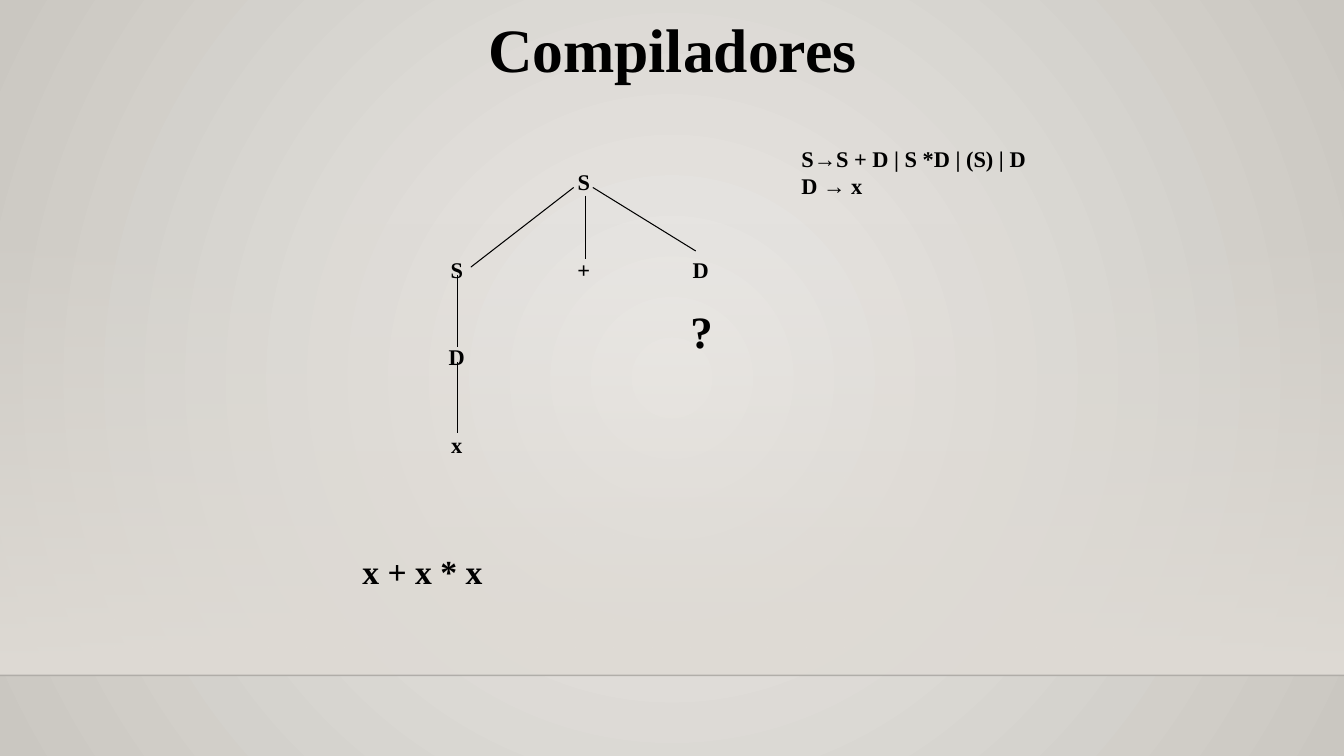
from dataclasses import dataclass

from lxml.etree import SubElement
from pptx import Presentation
from pptx.dml.color import RGBColor
from pptx.enum.shapes import MSO_CONNECTOR, MSO_SHAPE
from pptx.enum.text import MSO_ANCHOR, PP_ALIGN
from pptx.oxml.ns import qn
from pptx.util import Inches, Pt

TITLE = "Compiladores"
GRAMMAR = [
    [("S", "serif"), ("→", "sans"), ("S + D | S *D | (S) | D", "serif")],
    [("D ", "serif"), ("→", "sans"), (" x", "serif")],
]
EXPRESSION = "x + x * x"
QUESTION = "?"
TREE_NODES = [
    ("S", 1, 0),
    ("S", 0, 1),
    ("+", 1, 1),
    ("D", 2, 1),
    ("D", 0, 2),
    ("x", 0, 3),
]
TREE_EDGES = [
    ((5.69, 1.86), (4.67, 2.65)),
    ((5.81, 1.94), (5.81, 2.57)),
    ((5.88, 1.86), (6.9, 2.49)),
    ((4.54, 2.73), (4.54, 3.44)),
    ((4.54, 3.59), (4.54, 4.3)),
]

WIDTH, HEIGHT = 13.33, 7.5
COLUMN_CENTRES = (4.53, 5.79, 6.95)
TREE_TOP, ROW_PITCH = 1.62, 0.87
NODE_WIDTH, NODE_HEIGHT = 0.4, 0.37
WALL_TOP, FLOOR_TOP = 2.21, 6.7


@dataclass(frozen=True)
class Theme:
    serif: str = "Times New Roman"
    sans: str = "Arial"
    ink: str = "000000"
    centre: str = "ECEAE7"
    edge: str = "CAC7C1"
    wall: str = "DFDBD5"
    title_size: int = 44
    question_size: int = 32
    expression_size: int = 24
    node_size: int = 16
    edge_width: float = 0.75
    floor_width: float = 1


THEME = Theme()


def set_alpha(color_parent, percent):
    color = color_parent.find(".//" + qn("a:srgbClr"))
    SubElement(color, qn("a:alpha"), val=str(percent * 1000))


def fill_gradient(fill, colors):
    fill.gradient()
    for stop, color in zip(fill.gradient_stops, colors):
        stop.color.rgb = RGBColor.from_string(color)
    for stop, position in zip(fill.gradient_stops, (0, 1)):
        stop.position = position


def paint_background(page):
    fill_gradient(page.background.fill, (THEME.centre, THEME.edge))
    gradient = page.element.find(".//" + qn("a:gradFill"))
    gradient.remove(gradient.find(qn("a:lin")))
    circle = SubElement(gradient, qn("a:path"), path="circle")
    SubElement(circle, qn("a:fillToRect"), l="50000", t="50000", r="50000", b="50000")


def add_wall(page):
    wall = page.shapes.add_shape(
        MSO_SHAPE.RECTANGLE, 0, Inches(WALL_TOP), Inches(WIDTH), Inches(FLOOR_TOP - WALL_TOP)
    )
    wall.shadow.inherit = False
    wall.line.fill.background()
    fill_gradient(wall.fill, (THEME.wall, THEME.wall))
    wall.fill.gradient_angle = 270
    set_alpha(wall.element.spPr.find(".//" + qn("a:gs")), 0)


def add_line(page, start, end, width):
    points = [Inches(value) for value in (*start, *end)]
    line = page.shapes.add_connector(MSO_CONNECTOR.STRAIGHT, *points)
    line.line.color.rgb = RGBColor.from_string(THEME.ink)
    line.line.width = Pt(width)
    SubElement(line.element.spPr, qn("a:effectLst"))
    return line


def add_span(para, text, size, font=THEME.serif):
    span = para.add_run()
    span.text = text
    span.font.name = font
    span.font.size = Pt(size)
    span.font.bold = True
    span.font.color.rgb = RGBColor.from_string(THEME.ink)


def add_box(page, left, top, width, height):
    box = page.shapes.add_textbox(Inches(left), Inches(top), Inches(width), Inches(height))
    box.text_frame.word_wrap = True
    return box.text_frame


def add_label(page, text, center, top, width, height, size):
    para = add_box(page, center - width / 2, top, width, height).paragraphs[0]
    para.alignment = PP_ALIGN.CENTER
    add_span(para, text, size)


def add_title(page):
    title = page.shapes.title
    title.left, title.top = Inches(1.67), Inches(0.05)
    title.width, title.height = Inches(10), Inches(0.84)
    title.text_frame.vertical_anchor = MSO_ANCHOR.MIDDLE
    para = title.text_frame.paragraphs[0]
    para.alignment = PP_ALIGN.CENTER
    add_span(para, TITLE, THEME.title_size)


def add_tree(page):
    for start, end in TREE_EDGES:
        add_line(page, start, end, THEME.edge_width)
    for symbol, column, row in TREE_NODES:
        top = TREE_TOP + row * ROW_PITCH
        add_label(page, symbol, COLUMN_CENTRES[column], top, NODE_WIDTH, NODE_HEIGHT, THEME.node_size)


def add_grammar(page):
    frame = add_box(page, 7.85, 1.39, 2.68, 0.91)
    for index, rule in enumerate(GRAMMAR):
        para = frame.add_paragraph() if index else frame.paragraphs[0]
        for text, face in rule:
            font = THEME.sans if face == "sans" else THEME.serif
            add_span(para, text, THEME.node_size, font)


def main():
    deck = Presentation()
    deck.slide_width, deck.slide_height = Inches(WIDTH), Inches(HEIGHT)
    page = deck.slides.add_slide(deck.slide_layouts[5])
    paint_background(page)
    add_wall(page)
    floor = add_line(page, (0, FLOOR_TOP), (WIDTH, FLOOR_TOP), THEME.floor_width)
    set_alpha(floor.element.spPr, 20)
    add_title(page)
    add_tree(page)
    add_label(page, QUESTION, COLUMN_CENTRES[2], 2.96, NODE_WIDTH, 0.64, THEME.question_size)
    add_label(page, EXPRESSION, 4.19, 5.42, 1.45, 0.5, THEME.expression_size)
    add_grammar(page)
    deck.save("out.pptx")


if __name__ == "__main__":
    main()
